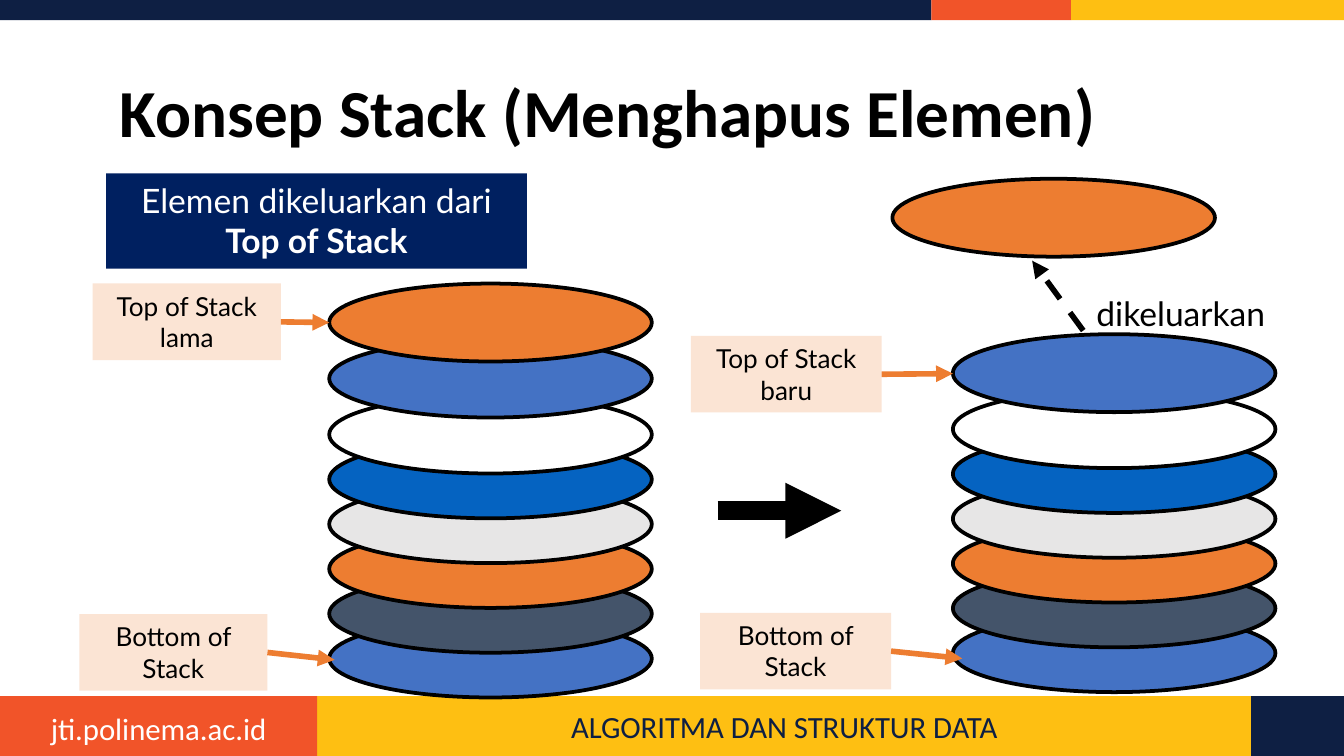
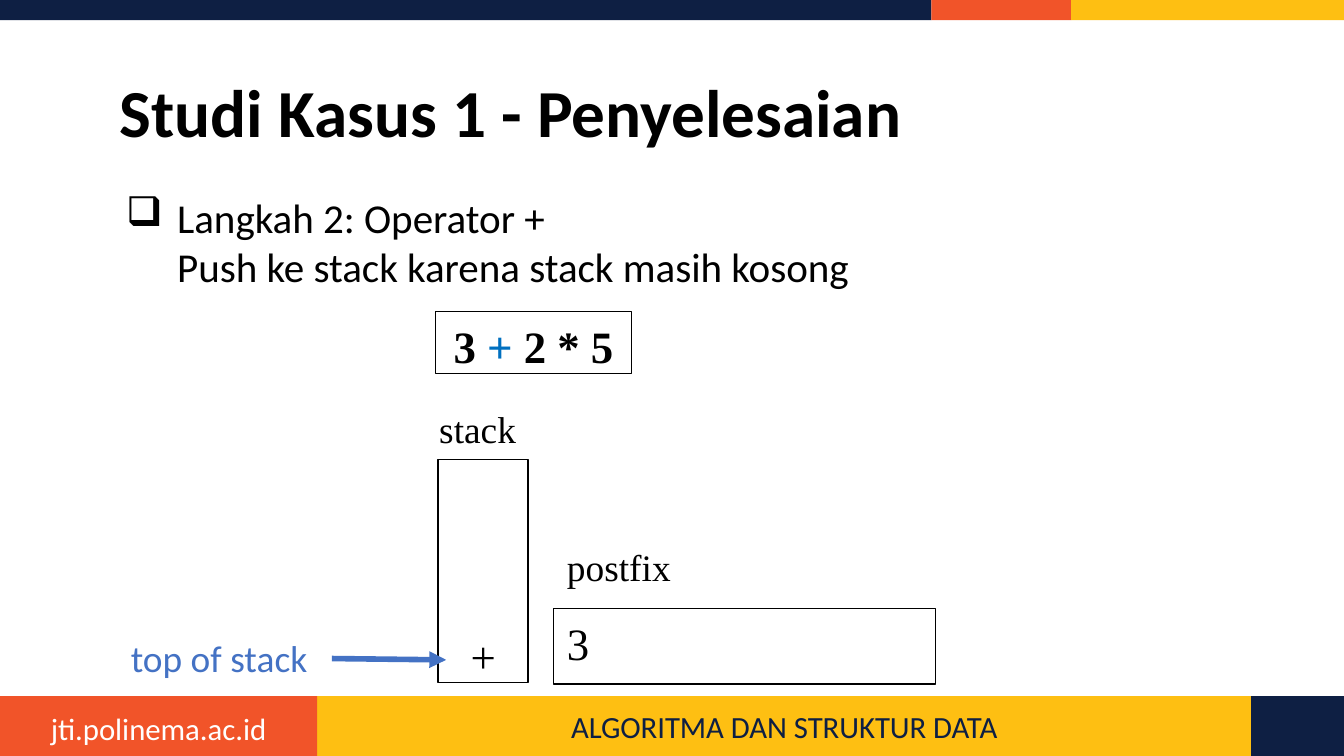
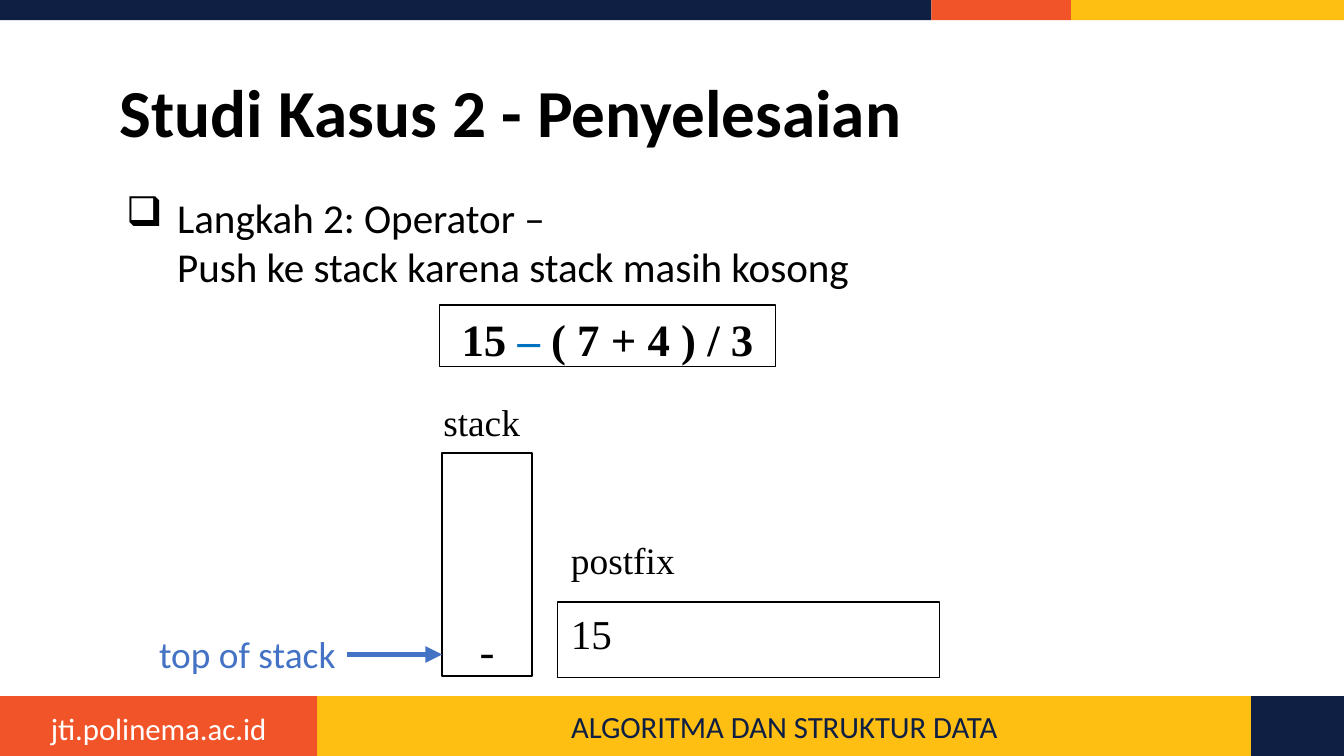
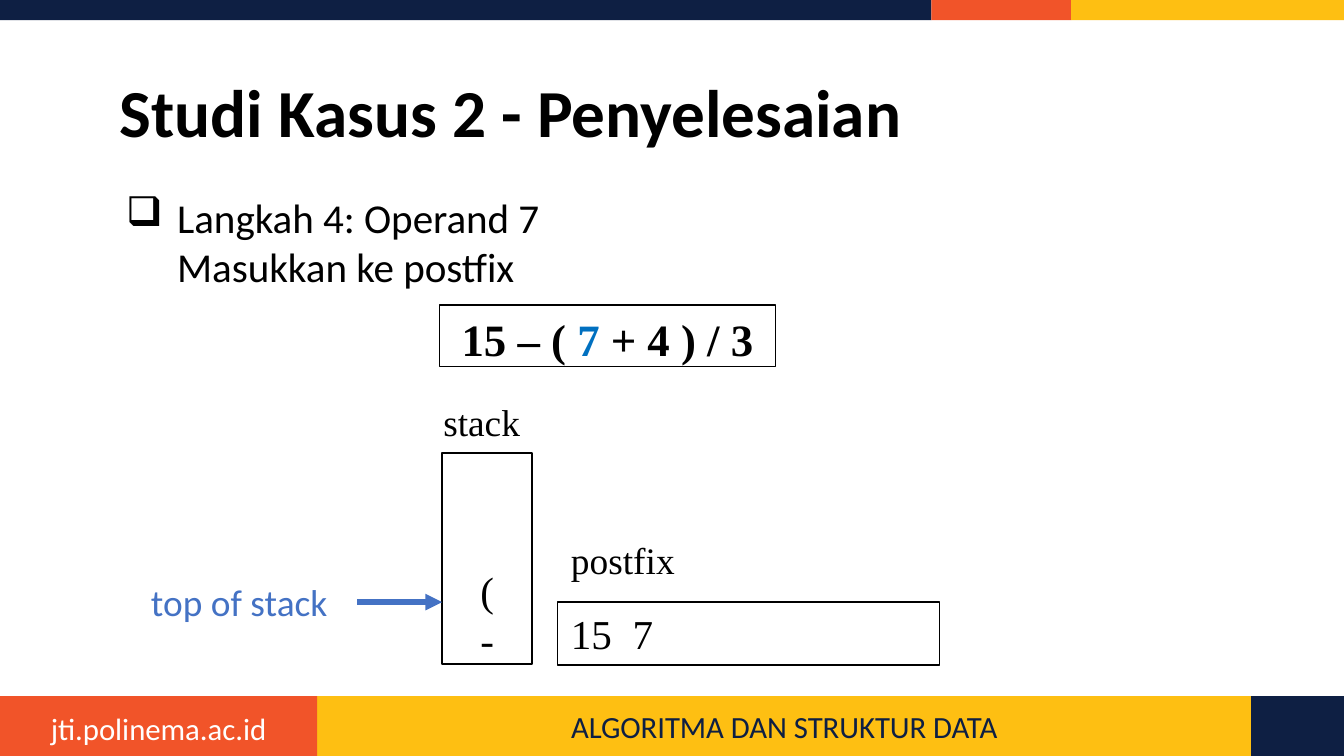
import pptx
import pptx.dml.color
import pptx.enum.dml
import pptx.enum.shapes
import pptx.enum.text
import pptx.oxml.ns
import pptx.util
from lxml import etree

Inches, Pt = pptx.util.Inches, pptx.util.Pt
Shape = pptx.enum.shapes.MSO_SHAPE
Align = pptx.enum.text.PP_ALIGN
Anchor = pptx.enum.text.MSO_ANCHOR
hue = pptx.dml.color.RGBColor.from_string
qn = pptx.oxml.ns.qn

NAVY, RED, GOLD = "0E1F43", "F15429", "FEBF12"
BLACK, WHITE, PEACH = "000000", "FFFFFF", "FBE4D4"
BLUE, ORANGE, MARK = "4472C4", "ED7D31", "0070C0"
SANS, LATO, SERIF = "Calibri", "Lato", "Times New Roman"


def box(slide, at, text="", fill=None, edge=None, width=0.75, size=14,
        face=SANS, ink=BLACK, align=Align.CENTER, kind=Shape.RECTANGLE):
    """Draw a shape, or a text box when there is no fill; a list gives runs."""
    place = [Inches(v) for v in at]
    if fill:
        shape = slide.shapes.add_shape(kind, *place)
        shape.shadow.inherit = False
        shape.fill.solid()
        shape.fill.fore_color.rgb = hue(fill)
        if edge:
            shape.line.color.rgb = hue(edge)
            shape.line.width = Pt(width)
        else:
            shape.line.fill.background()
    else:
        shape = slide.shapes.add_textbox(*place)
    frame = shape.text_frame
    frame.word_wrap = True
    frame.vertical_anchor = Anchor.TOP
    parts = [text] if isinstance(text, str) else text
    frame.text = parts[0]
    for part in parts[1:]:
        frame.paragraphs[0].add_run().text = part
    for para in frame.paragraphs:
        para.alignment = align
        for run in para.runs:
            run.font.size, run.font.name = Pt(size), face
            run.font.color.rgb = hue(ink)
    return shape


def arrow(slide, start, end, ink, width=3):
    """Draw an arrow from a point, or from the right side of a shape."""
    joined = not isinstance(start, tuple)
    first = (0, 0) if joined else start
    line = slide.shapes.add_connector(
        pptx.enum.shapes.MSO_CONNECTOR.STRAIGHT,
        *[Inches(v) for v in first + end])
    if joined:
        line.begin_connect(start, 3)
    line.line.color.rgb = hue(ink)
    line.line.width = Pt(width)
    etree.SubElement(line.line._get_or_add_ln(), qn("a:tailEnd"), type="triangle")
    etree.SubElement(line._element.spPr, qn("a:effectLst"))
    return line


deck = pptx.Presentation()
deck.slide_width = Inches(10)
deck.slide_height = deck.slide_width * 9 // 16

# Slides with the shared bands, footer and title
pages = []
for name in ["Konsep Stack (Menghapus Elemen)", "Studi Kasus 1 - Penyelesaian",
             "Studi Kasus 2 - Penyelesaian", "Studi Kasus 2 - Penyelesaian"]:
    page = deck.slides.add_slide(deck.slide_layouts[5])
    pages.append(page)
    for left, wide, fill in [(0, 6.93, NAVY), (6.93, 1.04, RED), (7.97, 2.03, GOLD)]:
        box(page, (left, 0, wide, 0.15), fill=fill)
    course = box(page, (2.36, 5.18, 6.95, 0.45), "ALGORITMA DAN STRUKTUR DATA",
                 GOLD, size=16.5, ink=NAVY)
    course.text_frame.vertical_anchor = Anchor.MIDDLE
    box(page, (0, 5.18, 2.36, 0.45), fill=RED)
    box(page, (9.31, 5.18, 0.69, 0.45), fill=NAVY)
    box(page, (0, 5.23, 2.36, 0.38), "jti.polinema.ac.id", size=16.5, ink=WHITE)

    title = page.shapes.title
    title.left, title.top = Inches(0.79), Inches(0.49)
    title.width, title.height = Inches(8.43), Inches(0.63)
    frame = title.text_frame
    frame.text = name
    frame.auto_size = pptx.enum.text.MSO_AUTO_SIZE.NONE
    frame.vertical_anchor = Anchor.TOP
    frame.margin_top = frame.margin_bottom = Inches(0.1)
    para = frame.paragraphs[0]
    para.alignment, para.line_spacing = Align.LEFT, 0.9
    font = para.runs[0].font
    font.size, font.name, font.bold = Pt(36), SANS, True
    font.color.rgb = hue(BLACK)

# Slide 1: the stack before and after removing its top
page = pages[0]
note = box(page, (0.79, 1.29, 3.13, 0.71), ["Elemen dikeluarkan dari ", "Top of Stack"],
           "002060", size=18, face=LATO, ink=WHITE)
note.text_frame.paragraphs[0].runs[1].font.bold = True

discs = [BLUE, "44546A", ORANGE, "E7E6E6", "0563C1", WHITE, BLUE, ORANGE]
for left, base, count in [(2.45, 4.61, 8), (7.09, 4.57, 7)]:
    for i, fill in enumerate(discs[:count]):
        rise = i / 3 + max(0, i - 5) / 12
        box(page, (left, base - rise, 2.4, 0.58), fill=fill, edge=BLACK, width=2,
            kind=Shape.OVAL)
box(page, (6.64, 1.33, 2.4, 0.58), fill=ORANGE, edge=BLACK, width=2, kind=Shape.OVAL)

for text, left, top, wide, tip in [
        ("Top of Stack lama", 0.69, 2.11, 1.4, (2.45, 2.4)),
        ("Bottom of Stack", 0.59, 4.57, 1.4, (2.49, 4.91)),
        ("Bottom of Stack", 5.21, 4.56, 1.42, (7.16, 4.9)),
        ("Top of Stack baru", 5.14, 2.5, 1.42, (7.09, 2.78))]:
    label = box(page, (left, top, wide, 0.57), text, PEACH, face=LATO)
    arrow(page, label, tip, ORANGE)

arrow(page, (5.34, 3.8), (6.26, 3.8), BLACK, 10)
leave = arrow(page, (8.06, 2.46), (7.68, 1.94), BLACK)
leave.line.dash_style = pptx.enum.dml.MSO_LINE.DASH
box(page, (8.06, 2.13, 1.6, 0.34), "dikeluarkan", size=18, face=LATO, align=Align.LEFT)

# Slides 2 to 4: steps from infix to postfix; x, y is the stack's corner
steps = [
    dict(task="Langkah 2: Operator +\vPush ke stack karena stack masih kosong",
         x=3.26, y=3.42, high=1.66, infix=["3 ", "+", " 2 * 5"], wide=1.46,
         stack="+", size=24, postfix="3", post=24,
         top=(0.79, 4.68), start=None, tip=(3.32, 4.91)),
    dict(task="Langkah 2: Operator –\vPush ke stack karena stack masih kosong",
         x=3.29, y=3.37, high=1.66, infix=["15 ", "–", " ( 7 + 4 ) / 3"], wide=2.5,
         stack="-", size=24, postfix="15", post=22,
         top=(1, 4.65), start=(2.58, 4.87), tip=(3.29, 4.87)),
    dict(task="Langkah 4: Operand 7\vMasukkan ke postfix",
         x=3.29, y=3.37, high=1.57, infix=["15 – ( ", "7", " + 4 ) / 3"], wide=2.5,
         stack="(\n-", size=22, postfix="15\t7", post=22,
         top=(0.94, 4.26), start=(2.66, 4.48), tip=(3.29, 4.48)),
]
for page, step in zip(pages[1:], steps):
    x, y, high = step["x"], step["y"], step["high"]

    task = box(page, (0.79, 1.33, 8.43, 3.7), step["task"], size=22, align=Align.LEFT)
    task.text_frame.margin_top = task.text_frame.margin_bottom = Inches(0.1)
    props = task.text_frame.paragraphs[0]._p.get_or_add_pPr()
    props.set("marL", str(Inches(0.43)))
    props.set("indent", str(Inches(-0.38)))
    tint = etree.SubElement(props, qn("a:buClr"))
    etree.SubElement(tint, qn("a:srgbClr"), val=BLACK)
    etree.SubElement(props, qn("a:buChar"), char="❑")

    stack = box(page, (x, y, 0.67, high), step["stack"], WHITE, BLACK,
                size=step["size"], face=SERIF)
    stack.text_frame.vertical_anchor = Anchor.BOTTOM
    stack.text_frame.margin_bottom = 0

    infix = box(page, (x - 0.02, y - 1.1, step["wide"], 0.46), step["infix"],
                WHITE, BLACK, size=24, face=SERIF)
    runs = infix.text_frame.paragraphs[0].runs
    for run in runs:
        run.font.bold = True
    runs[1].font.color.rgb = hue(MARK)

    box(page, (x - 0.09, y - 0.45, 0.84, 0.38), "stack", size=20, face=SERIF,
        align=Align.LEFT)
    output = box(page, (x + 0.86, y + 1.11, 2.84, high - 1.1), step["postfix"],
                 WHITE, BLACK, size=step["post"], face=SERIF, align=Align.LEFT)
    if "\t" in step["postfix"]:
        props = output.text_frame.paragraphs[0]._p.get_or_add_pPr()
        tabs = etree.SubElement(props, qn("a:tabLst"))
        etree.SubElement(tabs, qn("a:tab"), pos=str(Inches(0.46)), algn="l")
    box(page, (x + 0.86, y + 0.58, 1.14, 0.38), "postfix", size=20, face=SERIF,
        align=Align.LEFT)

    label = box(page, step["top"] + (1.68, 0.44), "top of stack", size=20, ink=BLUE)
    arrow(page, step["start"] or label, step["tip"], BLUE)

deck.save("out.pptx")
